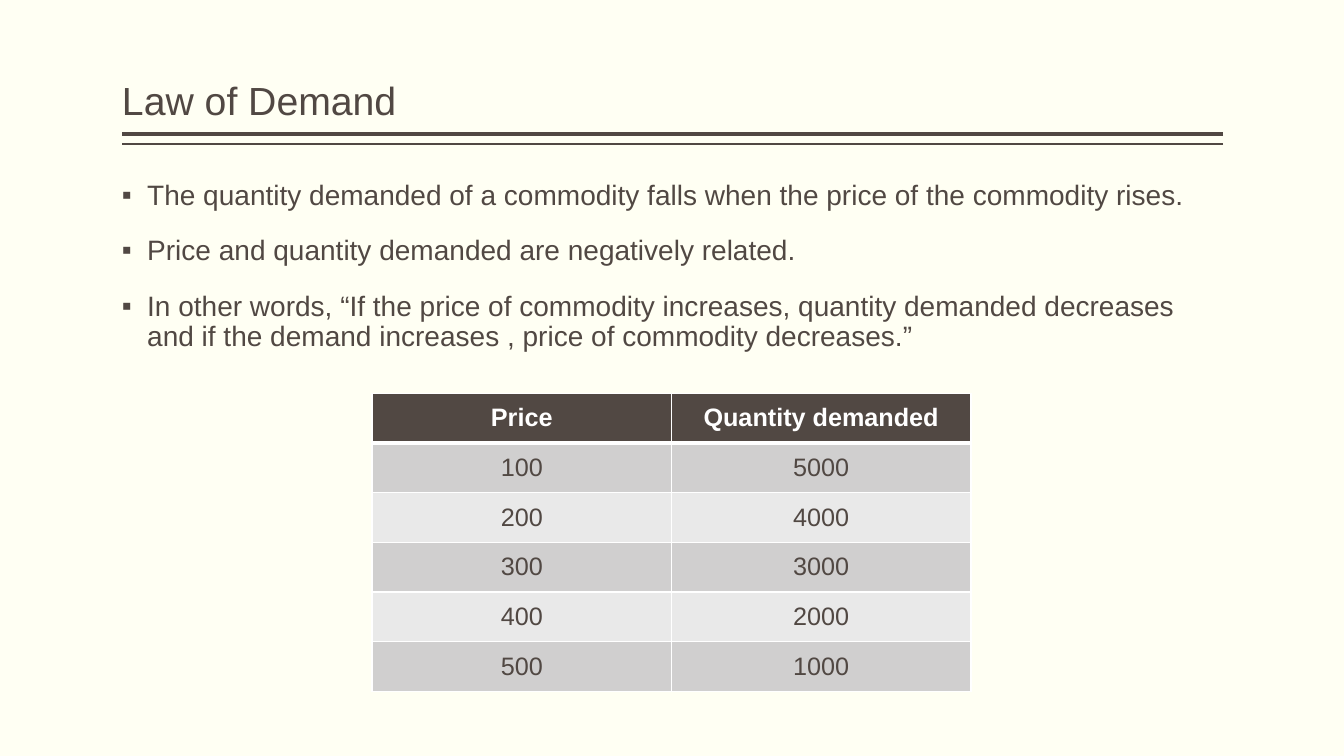
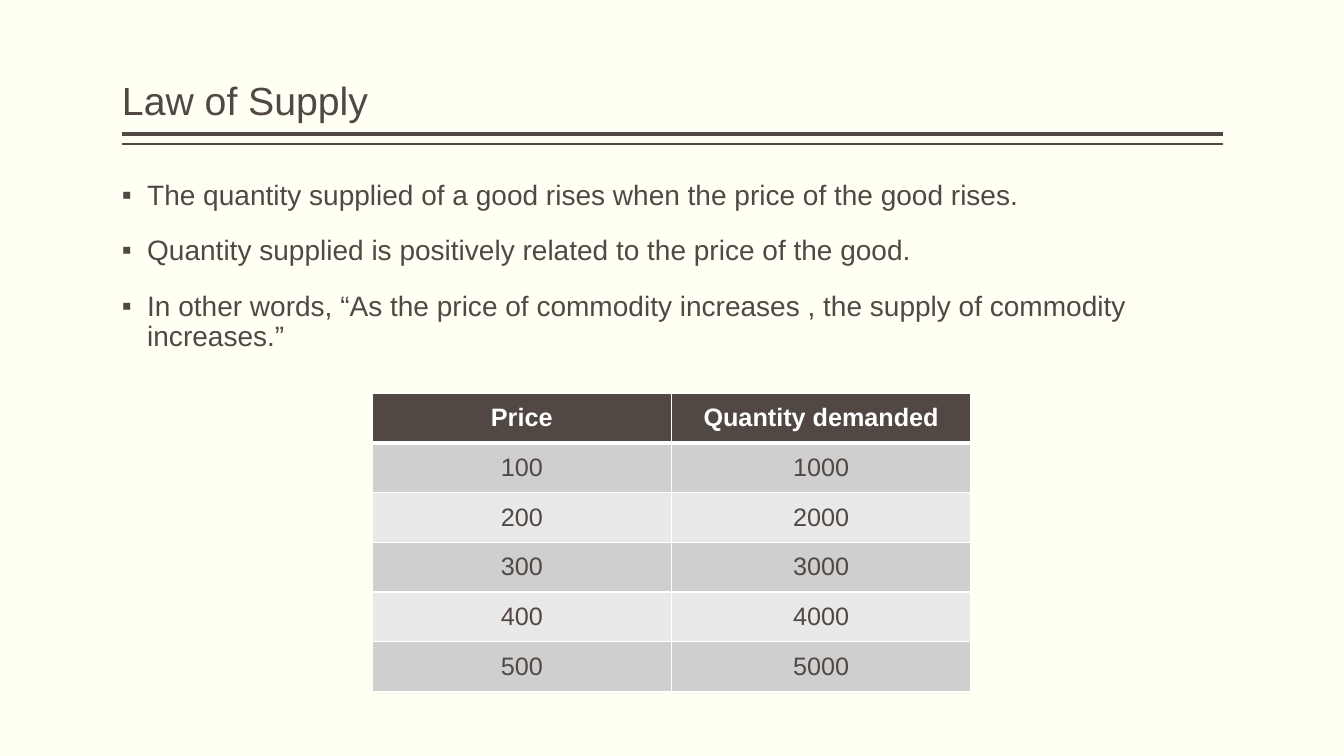
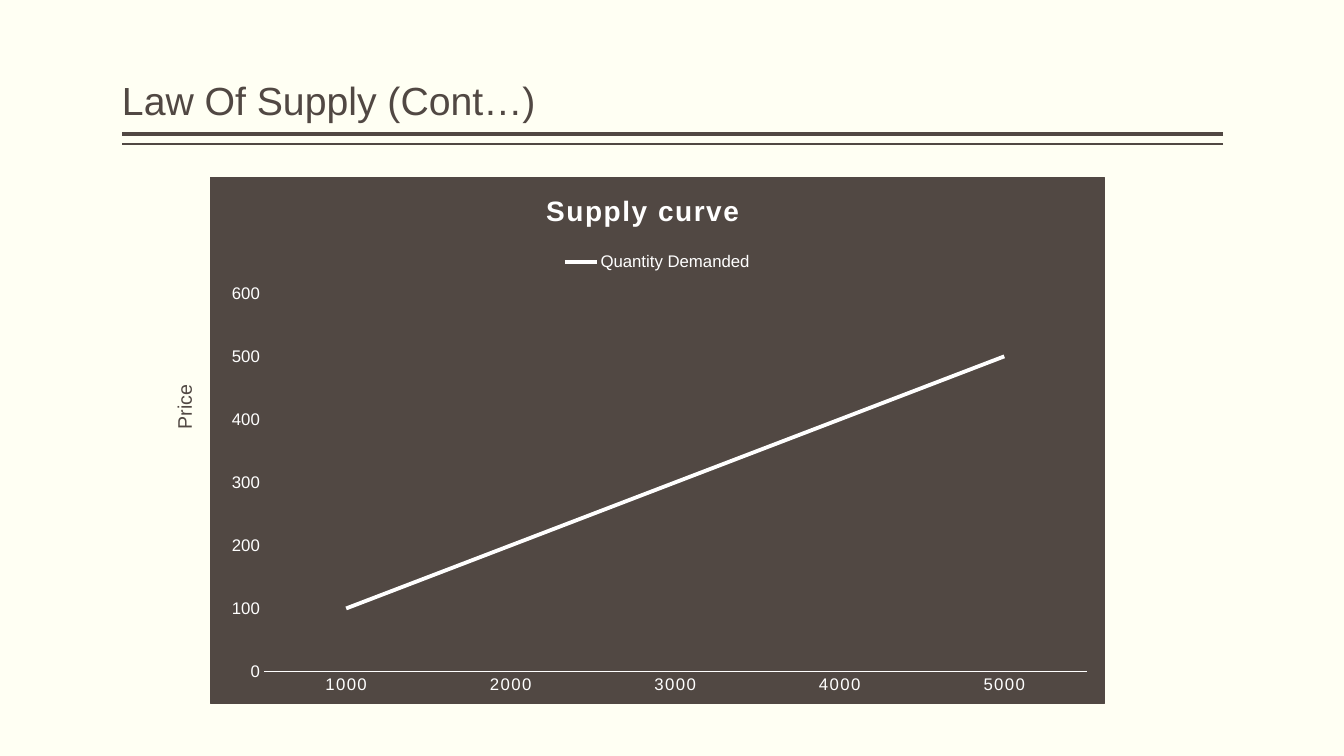
from lxml import etree
from pptx import Presentation
from pptx import util as u
from pptx.chart import data as chart_data
from pptx.dml import color
from pptx.enum import chart as chart_enum, shapes, text
from pptx.oxml import ns, parse_xml

INK, PAPER, WHITE = "514843", "FFFFF3", "FFFFFF"
BANDS = ("D0CFCF", "E9E9E9")
FONT = "Arial"
LEFT, WIDTH = 1.21, 10.92


def rgb(value):
    return color.RGBColor.from_string(value)


def apply(target, values):
    for name, value in values.items():
        setattr(target, name, value)


def style_font(font, size, ink=INK, bold=False):
    apply(font, {"name": FONT, "size": u.Pt(size), "bold": bold})
    font.color.rgb = rgb(ink)


def style_line(line, ink, width):
    line.color.rgb = rgb(ink)
    line.width = u.Pt(width)


def place(element, index, **fractions):
    """Fix a chart part at fractions of the chart area."""
    for old in element.findall(ns.qn("c:layout")):
        element.remove(old)
    layout = etree.Element(ns.qn("c:layout"))
    manual = etree.SubElement(layout, ns.qn("c:manualLayout"))
    if element.tag == ns.qn("c:plotArea"):
        etree.SubElement(manual, ns.qn("c:layoutTarget"), val="inner")
    for axis in "xy":
        etree.SubElement(manual, ns.qn(f"c:{axis}Mode"), val="edge")
    for name, value in fractions.items():
        etree.SubElement(manual, ns.qn(f"c:{name}"), val=str(value))
    element.insert(index, layout)


class Page:
    """One slide in the shared style."""

    def __init__(self, deck, title):
        self.slide = deck.slides.add_slide(deck.slide_layouts[6])
        self.rule(1.33, 3)
        self.rule(1.43, 1)
        frame = self.frame(LEFT, 0.08, WIDTH, 1.2)
        frame.vertical_anchor = text.MSO_ANCHOR.BOTTOM
        self.add_text(frame.paragraphs[0], title, 28, line_spacing=0.9)

    def rule(self, top, weight):
        line = self.slide.shapes.add_connector(
            shapes.MSO_CONNECTOR.STRAIGHT, u.Inches(LEFT + WIDTH), u.Inches(top),
            u.Inches(LEFT), u.Inches(top))
        style_line(line.line, INK, weight)
        etree.SubElement(line.element.spPr, ns.qn("a:effectLst"))

    def frame(self, left, top, width, height, side=0):
        box = self.slide.shapes.add_textbox(*map(u.Inches, (left, top, width, height)))
        apply(box.text_frame, {
            "word_wrap": True, "margin_left": u.Inches(side), "margin_right": u.Inches(side),
            "margin_top": u.Inches(0.05), "margin_bottom": u.Inches(0.05)})
        return box.text_frame

    def add_text(self, para, words, size, ink=INK, bold=False, **layout):
        apply(para, layout)
        span = para.add_run()
        span.text = words
        style_font(span.font, size, ink, bold)

    def bullets(self, lines):
        frame = self.frame(LEFT, 1.75, WIDTH, 5)
        for index, words in enumerate(lines):
            para = frame.add_paragraph() if index else frame.paragraphs[0]
            self.add_text(para, words, 20, line_spacing=0.9, space_before=u.Pt(18))
            props = para._p.get_or_add_pPr()
            props.set("marL", str(u.Inches(0.25)))
            props.set("indent", str(u.Inches(-0.25)))
            etree.SubElement(props, ns.qn("a:buFont"), typeface=FONT)
            etree.SubElement(props, ns.qn("a:buChar"), char="▪")

    def table(self, rows):
        table = self.slide.shapes.add_table(
            len(rows), len(rows[0]), u.Inches(3.69), u.Inches(3.9),
            u.Inches(5.94), u.Inches(2.96)).table
        for r, values in enumerate(rows):
            header = r == 0
            for c, value in enumerate(values):
                cell = table.cell(r, c)
                cell.vertical_anchor = text.MSO_ANCHOR.MIDDLE
                cell.fill.solid()
                cell.fill.fore_color.rgb = rgb(INK if header else BANDS[(r - 1) % 2])
                self.add_text(cell.text_frame.paragraphs[0], str(value), 18,
                              WHITE if header else INK, header,
                              alignment=text.PP_ALIGN.CENTER)
                self.borders(cell, top=3 if r == 1 else 1, bottom=3 if header else 1)

    def borders(self, cell, top, bottom):
        props = cell._tc.get_or_add_tcPr()
        for index, (side, width) in enumerate(zip("LRTB", (1, 1, top, bottom))):
            edge = etree.Element(ns.qn(f"a:ln{side}"), w=str(u.Pt(width)))
            fill = etree.SubElement(edge, ns.qn("a:solidFill"))
            etree.SubElement(fill, ns.qn("a:srgbClr"), val=WHITE)
            props.insert(index, edge)

    def line_chart(self, title, name, categories, values):
        data = chart_data.CategoryChartData()
        data.categories = categories
        data.add_series(name, values)
        chart = self.slide.shapes.add_chart(
            chart_enum.XL_CHART_TYPE.LINE, u.Inches(2.08), u.Inches(1.76),
            u.Inches(8.88), u.Inches(5.22), data).chart
        style_font(chart.font, 10)

        # Chart area
        root = chart.element.find(ns.qn("c:chart"))
        fill = f'<a:solidFill><a:srgbClr val="{INK}"/></a:solidFill>'
        root.addnext(parse_xml(
            f'<c:spPr {ns.nsdecls("c", "a")}>{fill}'
            f'<a:ln w="{u.Pt(0.75)}">{fill}</a:ln></c:spPr>'))

        # Title and legend
        chart.has_title = True
        para = chart.chart_title.text_frame.paragraphs[0]
        self.add_text(para, title, 20, WHITE, True)
        para.runs[0].font._element.set("spc", "100")
        chart.has_legend = True
        apply(chart.legend, {"position": chart_enum.XL_LEGEND_POSITION.TOP,
                             "include_in_layout": False})
        style_font(chart.legend.font, 12, WHITE)

        # Axes
        for axis in (chart.category_axis, chart.value_axis):
            apply(axis, {"has_major_gridlines": False,
                         "major_tick_mark": chart_enum.XL_TICK_MARK.NONE,
                         "minor_tick_mark": chart_enum.XL_TICK_MARK.NONE})
            style_font(axis.tick_labels.font, 12, WHITE)
        chart.category_axis.tick_labels.font._element.set("spc", "100")
        style_line(chart.category_axis.format.line, WHITE, 1)
        chart.value_axis.format.line.fill.background()

        # Series
        chart.plots[0].vary_by_categories = False
        series = chart.plots[0].series[0]
        series.smooth = False
        style_line(series.format.line, WHITE, 2.75)

        # Positions within the chart
        place(root.find(ns.qn("c:title")), 1, x=0.37, y=0.02)
        place(root.find(ns.qn("c:legend")), 1, x=0.39, y=0.13, w=0.22, h=0.06)
        place(root.find(ns.qn("c:plotArea")), 0, x=0.06, y=0.22, w=0.92, h=0.72)

    def axis_label(self, words):
        frame = self.frame(1.66, 3.82, 0.44, 0.54, side=0.1)
        apply(frame, {"word_wrap": False, "auto_size": text.MSO_AUTO_SIZE.SHAPE_TO_FIT_TEXT})
        frame._txBody.bodyPr.set("vert", "vert270")
        self.add_text(frame.paragraphs[0], words, 14)


deck = Presentation()
deck.slide_width, deck.slide_height = u.Inches(13.33), u.Inches(7.5)
backdrop = deck.slide_master.background.fill
backdrop.solid()
backdrop.fore_color.rgb = rgb(PAPER)

prices = [100, 200, 300, 400, 500]
supplied = [1000, 2000, 3000, 4000, 5000]
headings = ("Price", "Quantity demanded")

# Demand
page = Page(deck, "Law of Demand")
page.bullets([
    "The quantity demanded of a commodity falls when the price of the commodity rises.",
    "Price and quantity demanded are negatively related.",
    "In other words, “If the price of commodity increases, quantity demanded decreases "
    "and if the demand increases , price of commodity decreases.”"])
page.table([headings, *zip(prices, reversed(supplied))])

# Supply
page = Page(deck, "Law of Supply")
page.bullets([
    "The quantity supplied of a good rises when the price of the good rises.",
    "Quantity supplied is positively related to the price of the good.",
    "In other words, “As the price of commodity increases , the supply of commodity "
    "increases.”"])
page.table([headings, *zip(prices, supplied)])

# Supply curve
page = Page(deck, "Law Of Supply (Cont…)")
page.line_chart("Supply curve", "Quantity Demanded", [str(n) for n in supplied], prices)
page.axis_label("Price")

deck.save("out.pptx")
